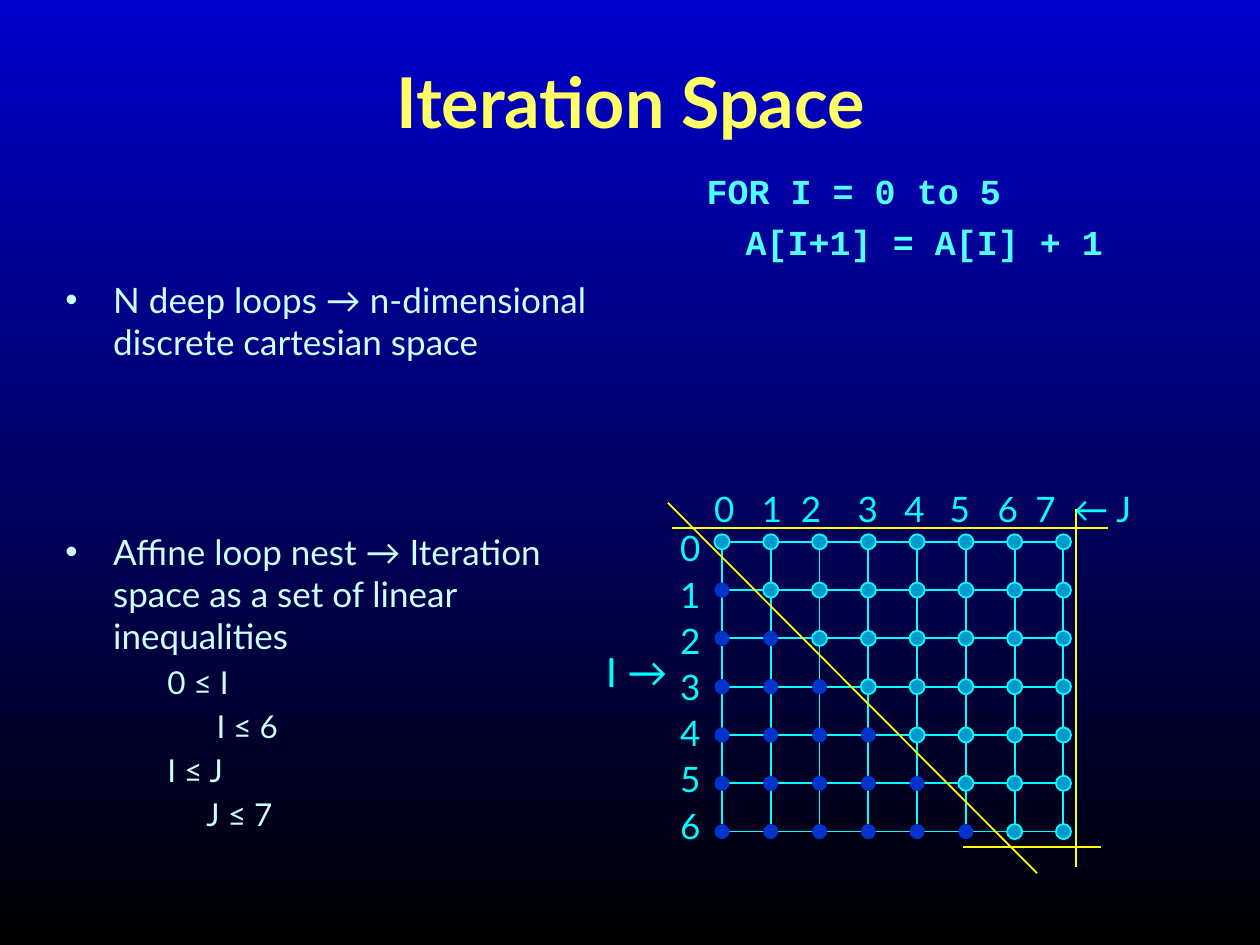
from pptx import Presentation
from pptx.dml.color import RGBColor
from pptx.enum.shapes import MSO_CONNECTOR, MSO_SHAPE
from pptx.enum.text import MSO_ANCHOR, PP_ALIGN
from pptx.oxml.ns import qn
from pptx.util import Inches, Pt
from lxml import etree

RECT, OVAL, STRAIGHT = MSO_SHAPE.RECTANGLE, MSO_SHAPE.OVAL, MSO_CONNECTOR.STRAIGHT
CENTER, MIDDLE = PP_ALIGN.CENTER, MSO_ANCHOR.MIDDLE
BLUE = RGBColor(0x00, 0x00, 0xCC)
BLACK = RGBColor(0x00, 0x00, 0x00)
TITLE = RGBColor(0xFF, 0xFF, 0x66)
PALE = RGBColor(0xCC, 0xFF, 0xFF)
CODE = RGBColor(0x50, 0xFF, 0xFF)
CYAN = RGBColor(0x00, 0xFF, 0xFF)
YELLOW = RGBColor(0xFF, 0xFF, 0x00)
INSIDE = RGBColor(0x00, 0x99, 0xCC)
OUTSIDE = RGBColor(0x00, 0x33, 0xCC)

prs = Presentation()
prs.slide_width, prs.slide_height = Inches(10), Inches(7.5)
slide = prs.slides.add_slide(prs.slide_layouts[6])

# Background gradient, top to bottom
fill = slide.background.fill
fill.gradient()
fill.gradient_angle = 270
for stop, color in zip(fill.gradient_stops, (BLUE, BLACK)):
    stop.color.rgb = color


def add_text(box, paragraphs, font, wrap=True):
    """Each paragraph is (text, paragraph format, left margin, bullet)."""
    tf = slide.shapes.add_textbox(*map(Inches, box)).text_frame
    tf.word_wrap = wrap
    for i, (text, fmt, margin, bullet) in enumerate(paragraphs):
        p = tf.paragraphs[0] if i == 0 else tf.add_paragraph()
        r = p.add_run()
        r.text = text
        for name, value in fmt.items():
            setattr(p, name, value)
        style = dict(font)
        r.font.color.rgb = style.pop("color")
        for name, value in style.items():
            setattr(r.font, name, value)
        pPr = p._p.get_or_add_pPr()
        pPr.set("marL", str(Inches(margin)))
        if bullet:
            pPr.set("indent", str(-Inches(margin)))
            etree.SubElement(pPr, qn("a:buFont")).set("typeface", "Arial")
            etree.SubElement(pPr, qn("a:buChar")).set("char", "•")
            r.font.size = Pt(20)
    return tf


def add_node(shapes, kind, box, color, outlined):
    sp = shapes.add_shape(kind, *map(Inches, box))
    sp.shadow.inherit = False
    if color is None:
        sp.fill.background()
    else:
        sp.fill.solid()
        sp.fill.fore_color.rgb = color
    if outlined:
        sp.line.color.rgb = CYAN
        sp.line.width = Pt(1)
    else:
        sp.line.fill.background()


# Title
tf = add_text((0.42, 0.17, 9.17, 1.25),
              [("Iteration Space", {"alignment": CENTER}, 0, False)],
              {"name": "Lato", "size": Pt(40), "bold": True, "color": TITLE})
tf.vertical_anchor = MIDDLE

# Bullets and inequalities
near = {"space_before": Pt(3.6)}
add_text((0.42, 2.16, 4.69, 5.09), [
    ("N deep loops → n-dimensional discrete cartesian space", {}, 0.38, True),
    ("Affine loop nest → Iteration space as a set of linear inequalities",
     {"space_before": Pt(96)}, 0.38, True),
    ("0 ≤ I", near, 0.81, False),
    ("I ≤ 6", near, 1.2, False),
    ("I ≤ J", near, 0.81, False),
    ("J ≤ 7", near, 1.12, False),
], {"name": "Lato", "size": Pt(18), "color": PALE})

# Grid cells
COLS, ROWS = 8, 7
LEFT, TOP = 5.73, 4.3
DX, DY = 2.71 / (COLS - 1), 2.3 / (ROWS - 1)
grid = slide.shapes.add_group_shape()
for i in range(ROWS - 1):
    for j in range(COLS - 1):
        add_node(grid.shapes, RECT, (LEFT + j * DX, TOP + i * DY, DX, DY), None, True)

# Axis labels
label = {"name": "Lato", "size": Pt(20), "color": CYAN}
tf = add_text((5.28, 3.82, 3.94, 0.43),
              [("\t0\t1\t2\t3\t4\t5\t6\t7\t← J", {}, 0, False)], label)
tabs = etree.SubElement(tf.paragraphs[0]._p.get_or_add_pPr(), qn("a:tabLst"))
for pos in (0.37, 0.75, 1.06, 1.51, 1.88, 2.24, 2.62, 2.92, 3.37):
    tab = etree.SubElement(tabs, qn("a:tab"))
    tab.set("pos", str(Inches(pos)))
    tab.set("algn", "ctr")
add_text((5.3, 4.1, 0.35, 2.66),
         [(str(i), {"line_spacing": 1.1}, 0, False) for i in range(ROWS)], label, False)
add_text((4.71, 5.09, 0.73, 0.48), [("I →", {}, 0, False)],
         {**label, "size": Pt(23)}, False)

# Iteration points: those with I <= J belong to the space
DOT = 0.12
for i in range(ROWS):
    for j in range(COLS):
        box = (LEFT + j * DX - DOT / 2, TOP + i * DY - DOT / 2, DOT, DOT)
        add_node(slide.shapes, OVAL, box, INSIDE if i <= j else OUTSIDE, i <= j)

# Bounds of the space
for ends in ((5.3, 3.99, 8.23, 6.93), (5.33, 4.19, 8.79, 4.19),
             (7.64, 6.72, 8.74, 6.72), (8.54, 4.04, 8.54, 6.88)):
    bound = slide.shapes.add_connector(STRAIGHT, *map(Inches, ends))
    bound.line.color.rgb = YELLOW
    bound.line.width = Pt(1)
    etree.SubElement(bound._element.spPr, qn("a:effectLst"))

# Loop code
step = {"space_before": Pt(5)}
add_text((5.01, 1.3, 4.84, 1.03), [
    ("FOR I = 0 to 5", step, 0.5, False),
    ("A[I+1] = A[I] + 1", step, 0.81, False),
], {"name": "Courier New", "size": Pt(20), "bold": True, "color": CODE})

prs.save("out.pptx")
